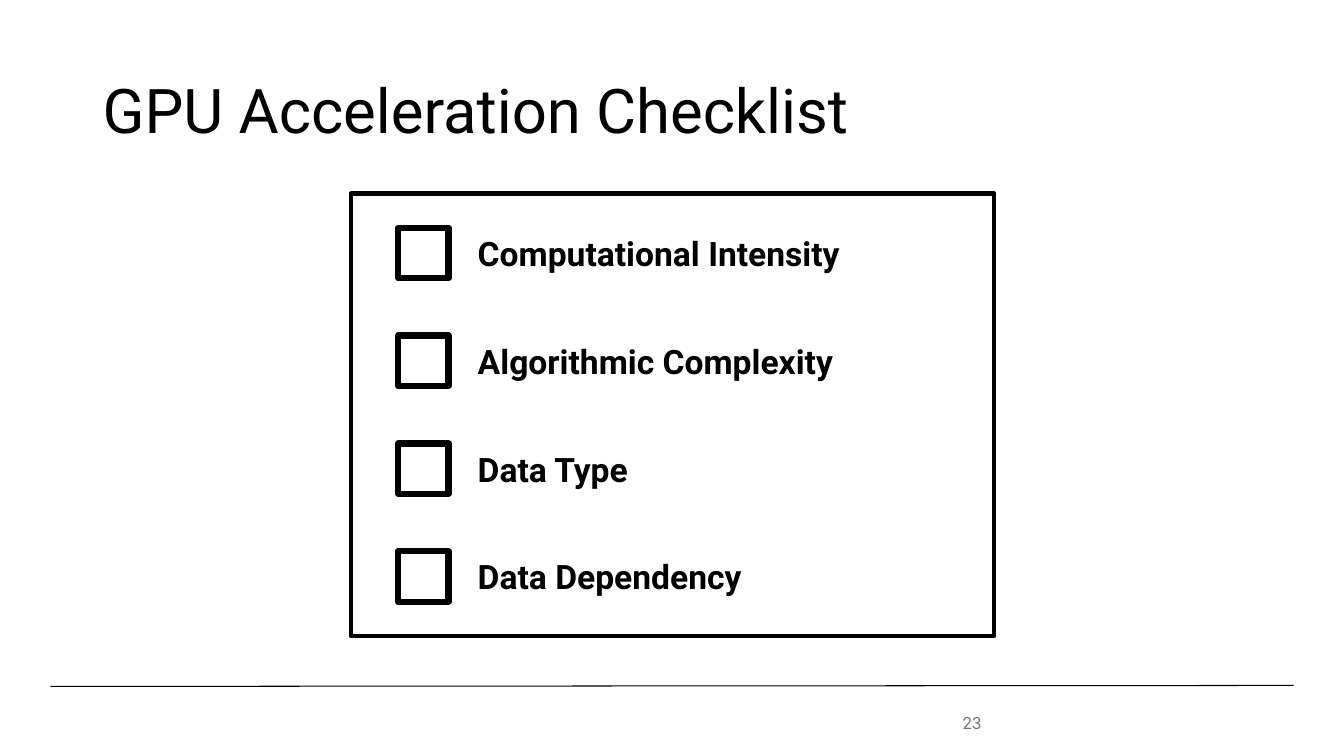
from dataclasses import dataclass

from lxml.etree import SubElement
from pptx import Presentation
from pptx.dml.color import RGBColor
from pptx.enum.shapes import MSO_CONNECTOR, MSO_SHAPE
from pptx.enum.text import MSO_ANCHOR
from pptx.oxml.ns import qn
from pptx.slide import Slide
from pptx.util import Emu, Pt

PX = 9144  # EMU per px, 100 px to the inch
FONT = "Roboto"
COLORS = {"ink": "000000", "page_number": "797979"}

BOX_LEFT, BOX_SIZE = 395, 50
LABEL_LEFT, LABEL_WIDTH = 464, 424
FIRST_TOP, ROW_STEP = 226, 107


@dataclass
class CheckItem:
    label: str
    row: int

    @property
    def top(self) -> int:
        return FIRST_TOP + self.row * ROW_STEP


LABELS = ["Computational Intensity", "Algorithmic Complexity", "Data Type", "Data Dependency"]
ITEMS = [CheckItem(label, row) for row, label in enumerate(LABELS)]


def px(n: int) -> Emu:
    return Emu(n * PX)


def color(name: str) -> RGBColor:
    return RGBColor.from_string(COLORS[name])


def add_text(s: Slide, text: str, left: int, top: int, width: int, height: int, *,
             size: int, ink: str = "ink", bold: bool = False,
             anchor: MSO_ANCHOR = MSO_ANCHOR.TOP, spacing: float = 1.0) -> None:
    tf = s.shapes.add_textbox(px(left), px(top), px(width), px(height)).text_frame
    tf.word_wrap = True
    tf.vertical_anchor = anchor
    p = tf.paragraphs[0]
    p.line_spacing = spacing
    r = p.add_run()
    r.text = text
    r.font.name = FONT
    r.font.size = Pt(size)
    r.font.bold = bold
    r.font.color.rgb = color(ink)


def add_outline(s: Slide, left: int, top: int, width: int, height: int, weight: float) -> None:
    sp = s.shapes.add_shape(MSO_SHAPE.RECTANGLE, px(left), px(top), px(width), px(height))
    sp.shadow.inherit = False
    sp.fill.background()
    sp.line.color.rgb = color("ink")
    sp.line.width = Pt(weight)


def add_rule(s: Slide, x1: int, y1: int, x2: int, y2: int, weight: float) -> None:
    line = s.shapes.add_connector(MSO_CONNECTOR.STRAIGHT, px(x1), px(y1), px(x2), px(y2))
    line.line.color.rgb = color("ink")
    line.line.width = Pt(weight)
    SubElement(line._element.spPr, qn("a:effectLst"))


def add_check_item(s: Slide, item: CheckItem) -> None:
    add_outline(s, BOX_LEFT, item.top, BOX_SIZE, BOX_SIZE, 4.5)
    add_text(s, item.label, LABEL_LEFT, item.top, LABEL_WIDTH, BOX_SIZE, size=24, bold=True)


def main() -> None:
    prs = Presentation()
    prs.slide_width, prs.slide_height = px(1333), px(750)
    s = prs.slides.add_slide(prs.slide_layouts[6])

    # Footer rule and title
    add_rule(s, 50, 681, 1283, 680, 0.75)
    add_text(s, "GPU Acceleration Checklist", 92, 40, 1150, 145,
             size=44, anchor=MSO_ANCHOR.MIDDLE, spacing=0.9)

    # Framed checklist
    add_outline(s, 348, 192, 638, 439, 3)
    for item in ITEMS:
        add_check_item(s, item)

    # Page number
    add_text(s, "23", 945, 697, 225, 40, size=12, ink="page_number", anchor=MSO_ANCHOR.MIDDLE)

    prs.save("out.pptx")


if __name__ == "__main__":
    main()
